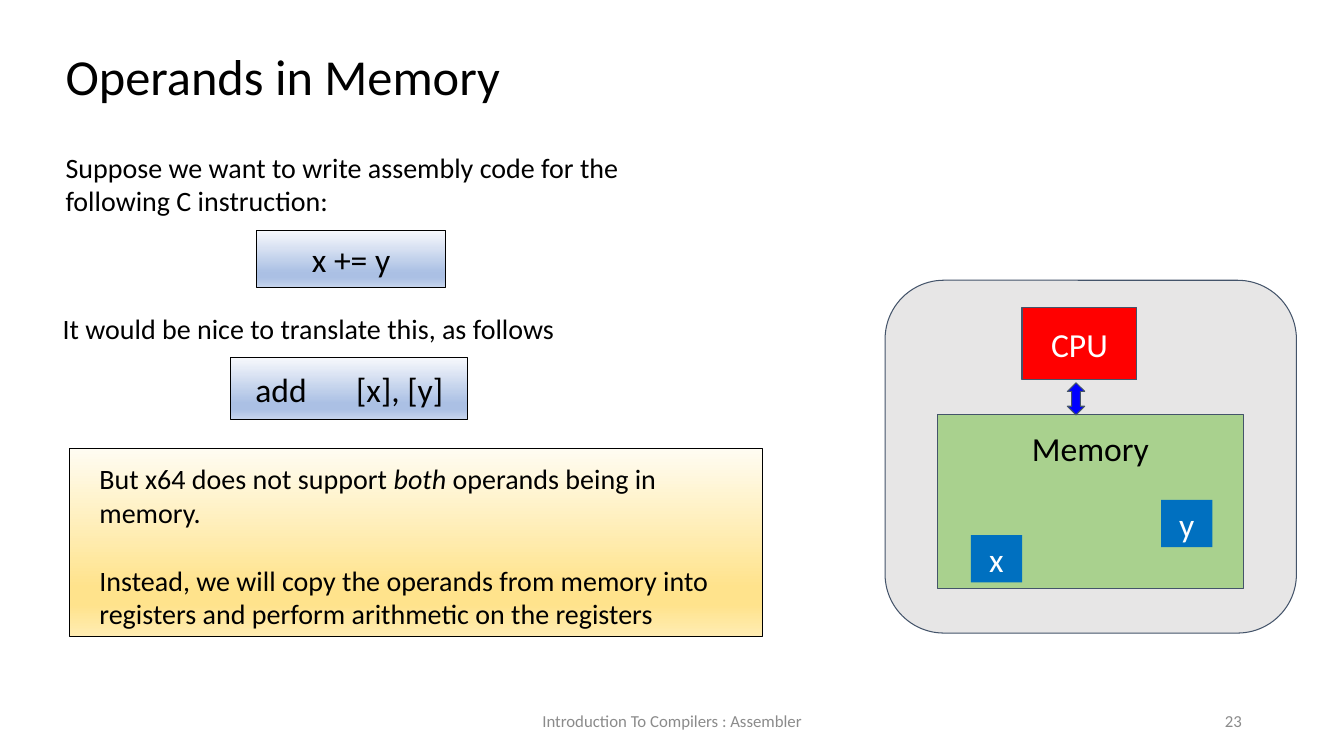
from copy import deepcopy

from pptx import Presentation
from pptx.dml.color import RGBColor
from pptx.enum.shapes import MSO_SHAPE
from pptx.enum.text import MSO_ANCHOR, PP_ALIGN
from pptx.oxml.ns import qn
from pptx.util import Pt

RECTANGLE = MSO_SHAPE.RECTANGLE
TOP, MIDDLE = MSO_ANCHOR.TOP, MSO_ANCHOR.MIDDLE
LEFT, CENTER, RIGHT = PP_ALIGN.LEFT, PP_ALIGN.CENTER, PP_ALIGN.RIGHT

COLORS = {
    "black": "000000", "white": "FFFFFF", "outline": "44546A", "footer": "8B8B8B",
    "computer": "E7E6E6", "memory": "A9D18E", "cpu": "FF0000",
    "variable": "0070C0", "bus": "0000FF",
    "code light": "F6F8FC", "code dark": "ABC0E4", "code end": "C7D5ED",
    "note light": "FFFCF2", "note dark": "FFE38C", "note end": "FFECB2",
}


def color(name):
    return RGBColor.from_string(COLORS[name])


def write(shape, text, size, font_color, align, anchor, insets=(9.4, 9.4)):
    """Fill the shape with text, one paragraph per line, in a single style."""
    frame = shape.text_frame
    frame.word_wrap = True
    frame.vertical_anchor = anchor
    frame.margin_left = frame.margin_right = Pt(insets[0])
    frame.margin_top = frame.margin_bottom = Pt(insets[1])
    frame.text = text
    for paragraph in frame.paragraphs:
        paragraph.alignment = align
        for run in paragraph.runs:
            run.font.name = "Calibri"
            run.font.size = Pt(size)
            run.font.color.rgb = color(font_color)


presentation = Presentation()
presentation.slide_width = Pt(960)
presentation.slide_height = Pt(540)
slide = presentation.slides.add_slide(presentation.slide_layouts[6])

# Computer diagram and code boxes: kind, bounds, fill, line, text, text color, anchor
boxes = [
    (MSO_SHAPE.ROUNDED_RECTANGLE, (632.2, 200.2, 293.8, 252), "computer", "outline", "", "", TOP),
    (RECTANGLE, (165, 255.6, 169, 43.9), "code", "black", "add\t[x], [y]", "black", MIDDLE),
    (RECTANGLE, (669.4, 296, 219, 124.5), "memory", "outline", "Memory", "black", TOP),
    (RECTANGLE, (730, 219.6, 82, 51.8), "cpu", "outline", "CPU", "white", MIDDLE),
    (RECTANGLE, (693.4, 382.3, 36.7, 33.8), "variable", None, "x", "white", MIDDLE),
    (MSO_SHAPE.UP_DOWN_ARROW, (762.4, 273.4, 12.4, 23), "bus", "outline", "", "", TOP),
    (RECTANGLE, (829.4, 357.1, 36.7, 33.8), "variable", None, "y", "white", MIDDLE),
    (RECTANGLE, (183.4, 165, 134.8, 40.3), "code", "black", "x += y", "black", MIDDLE),
    (RECTANGLE, (49.6, 320.4, 494.8, 134), "note", "black", "", "", TOP),
]
for kind, bounds, fill, line, text, text_color, anchor in boxes:
    shape = slide.shapes.add_shape(kind, *map(Pt, bounds))
    shape.shadow.inherit = False
    if fill in ("code", "note"):
        shape.fill.gradient()
        shape.fill.gradient_angle = 270
        stop_list = shape._element.spPr.find(".//" + qn("a:gsLst"))
        for _ in range(2):
            stop_list.append(deepcopy(stop_list[0]))
        shades = [("light", 0), ("dark", 0.74), ("dark", 0.83), ("end", 1)]
        for stop, (shade, position) in zip(shape.fill.gradient_stops, shades):
            stop.color.rgb = color(f"{fill} {shade}")
            stop.position = position
    else:
        shape.fill.solid()
        shape.fill.fore_color.rgb = color(fill)
    if line:
        shape.line.color.rgb = color(line)
        shape.line.width = Pt(0.75)
    else:
        shape.line.fill.background()
    if text:
        write(shape, text, 24, text_color, CENTER, anchor)

# The yellow note is the last box
note = shape
write(note, "But x64 does not support both operands being in memory.\n"
      "Instead, we will copy the operands from memory into registers "
      "and perform arithmetic on the registers", 20, "black", LEFT, TOP)
limitation, solution = note.text_frame.paragraphs
solution.space_before = Pt(24.4)
for paragraph in (limitation, solution):
    properties = paragraph._p.get_or_add_pPr()
    properties.set("marL", str(Pt(12)))
    properties.set("indent", "0")

# Split the first sentence so that one word is italic
first_run = limitation.runs[0]
before, after = first_run.text.split("both")
first_run.text = before
for part, italic in (("both", True), (after, False)):
    run = limitation.add_run()
    run.text = part
    run.font.name = "Calibri"
    run.font.size = Pt(20)
    run.font.color.rgb = color("black")
    run.font.italic = italic

# Text boxes: bounds, text, size, color, alignment, anchor, insets
BODY_INSETS, FOOTER_INSETS = (9.4, 9.4), (7.2, 3.6)
texts = [
    ((37.4, 23, 541.4, 74.9), "Operands in Memory", 36, "black", LEFT, TOP, BODY_INSETS),
    ((37.4, 97.9, 414, 67), "Suppose we want to write assembly code for the following C instruction:",
     20, "black", LEFT, TOP, BODY_INSETS),
    ((35.3, 213.1, 421.9, 35.3), "It would be nice to translate this, as follows",
     20, "black", LEFT, TOP, BODY_INSETS),
    ((318.2, 500.4, 324, 28.8), "Introduction To Compilers : Assembler",
     12, "footer", CENTER, MIDDLE, FOOTER_INSETS),
    ((678.2, 500.4, 216, 28.8), "23", 12, "footer", RIGHT, MIDDLE, FOOTER_INSETS),
]
for bounds, *style in texts:
    write(slide.shapes.add_textbox(*map(Pt, bounds)), *style)

presentation.save("out.pptx")
